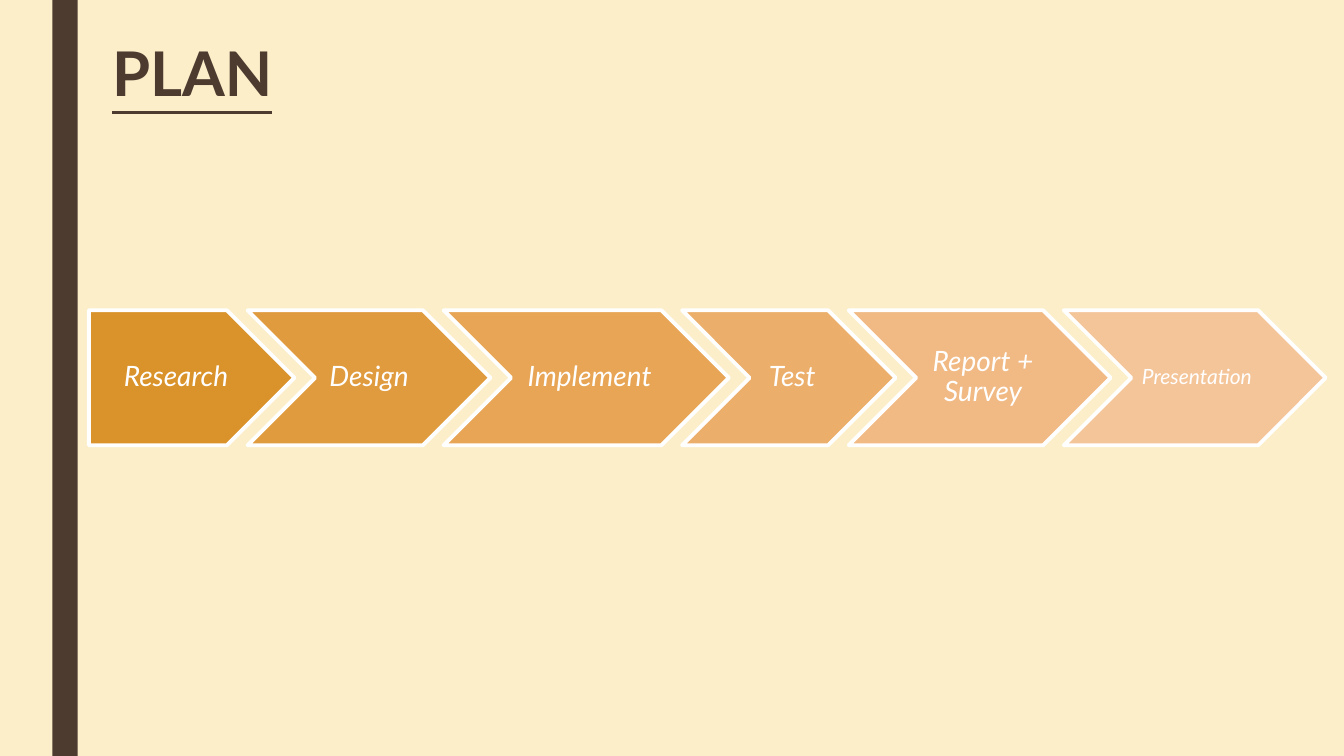
from pptx import Presentation
from pptx.dml.color import RGBColor
from pptx.enum.shapes import MSO_SHAPE
from pptx.enum.text import MSO_ANCHOR, PP_ALIGN
from pptx.util import Cm, Pt

COLOURS = {
    "cream": "FBEEC9",
    "brown": "4E3B30",
    "white": "FFFFFF",
    "research": "DA932A",
    "design": "E09B3F",
    "implement": "E7A555",
    "test": "ECAE6B",
    "report": "F1B983",
    "presentation": "F5C59A",
}

STAGES = [
    ("Research ", "research", 5.18, 20),
    ("Design ", "design", 6.12, 20),
    ("Implement", "implement", 7.19, 20),
    ("Test", "test", 5.38, 20),
    ("Report + Survey", "report", 6.6, 20),
    ("Presentation", "presentation", 6.6, 15),
]
FIRST_LEFT = 2.24
OVERLAP = 1.18


class PlanSlide:
    font_name = "Lato"

    def __init__(self, presentation):
        self.slide = presentation.slides.add_slide(presentation.slide_layouts[5])
        background = self.slide.background.fill
        background.solid()
        background.fore_color.rgb = self.colour("cream")

    def colour(self, name):
        return RGBColor.from_string(COLOURS[name])

    def style_font(self, paragraph, size, colour):
        paragraph.font.name = self.font_name
        paragraph.font.size = Pt(size)
        paragraph.font.color.rgb = self.colour(colour)

    def add_block(self, kind, left, top, width, height, fill):
        block = self.slide.shapes.add_shape(
            kind, Cm(left), Cm(top), Cm(width), Cm(height)
        )
        block.shadow.inherit = False
        block.fill.solid()
        block.fill.fore_color.rgb = self.colour(fill)
        block.line.fill.background()
        return block

    def add_title(self, wording):
        title = self.slide.shapes.title
        title.left, title.top = Cm(2.57), Cm(0.89)
        title.width, title.height = Cm(26.67), Cm(2.11)
        frame = title.text_frame
        frame.text = wording
        frame.vertical_anchor = MSO_ANCHOR.MIDDLE
        heading = frame.paragraphs[0]
        heading.alignment = PP_ALIGN.LEFT
        heading.line_spacing = 0.89
        self.style_font(heading, 44, "brown")
        heading.font.bold = True
        heading.font.underline = True

    def add_stage(self, kind, left, width, label, fill, size):
        stage = self.add_block(kind, left, 7.82, width, 3.4, fill)
        stage.line.color.rgb = self.colour("white")
        stage.line.width = Pt(2.75)
        frame = stage.text_frame
        frame.word_wrap = True
        frame.vertical_anchor = MSO_ANCHOR.MIDDLE
        frame.margin_left = Cm(0.3 if kind == MSO_SHAPE.PENTAGON else size * 0.012)
        frame.margin_right = Cm(0.07)
        frame.margin_top = frame.margin_bottom = Cm(0.15)
        frame.text = label
        caption = frame.paragraphs[0]
        caption.alignment = PP_ALIGN.CENTER
        caption.line_spacing = 0.9
        self.style_font(caption, size, "white")
        caption.font.italic = True


def main():
    presentation = Presentation()
    presentation.slide_width = Cm(33.87)
    presentation.slide_height = Cm(19.05)

    plan = PlanSlide(presentation)
    plan.add_block(MSO_SHAPE.RECTANGLE, 1.32, 0, 0.64, 19.05, "brown")
    plan.add_title("PLAN")

    left = FIRST_LEFT
    kind = MSO_SHAPE.PENTAGON
    for label, fill, width, size in STAGES:
        plan.add_stage(kind, left, width, label, fill, size)
        left += width - OVERLAP
        kind = MSO_SHAPE.CHEVRON

    presentation.save("out.pptx")


if __name__ == "__main__":
    main()
